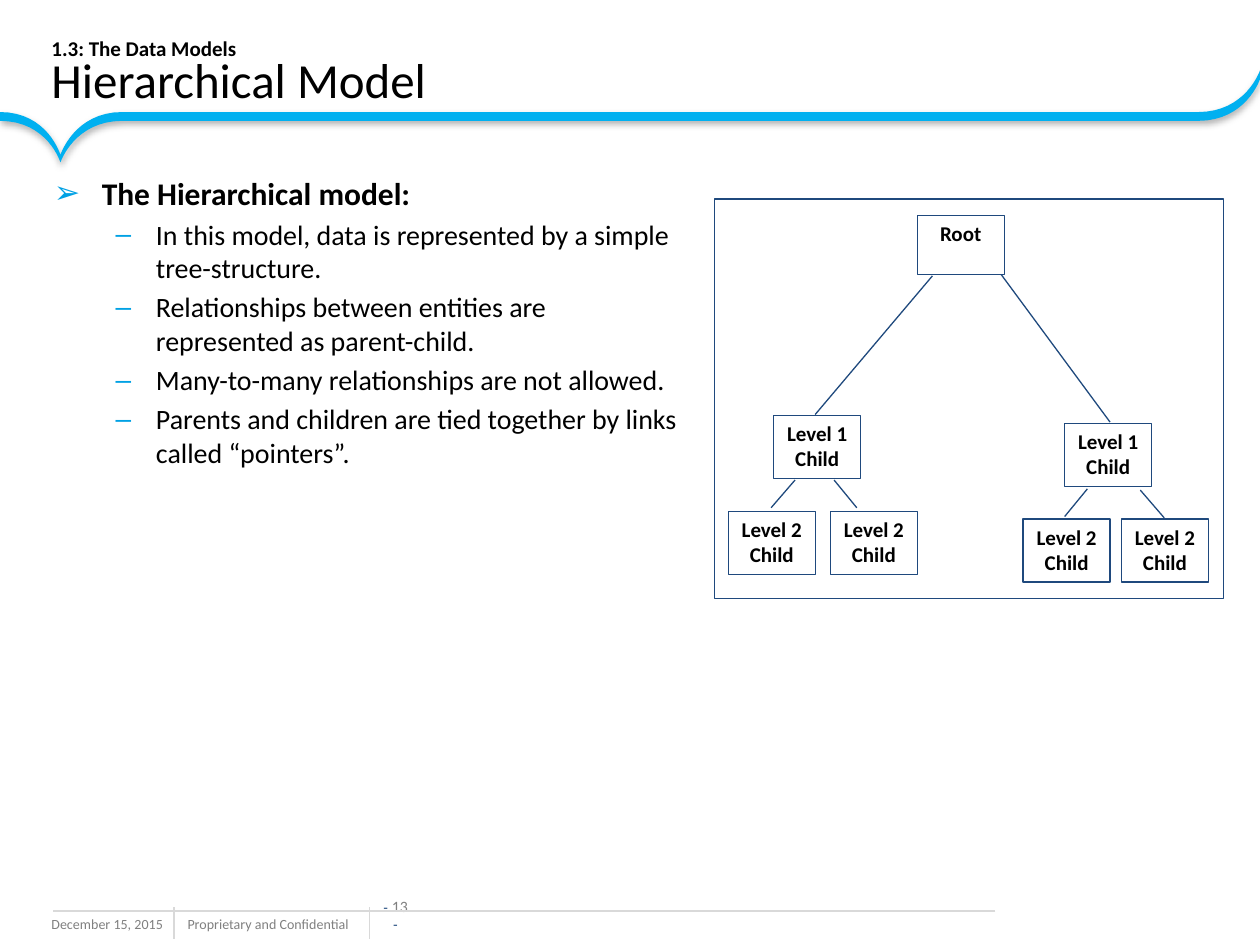
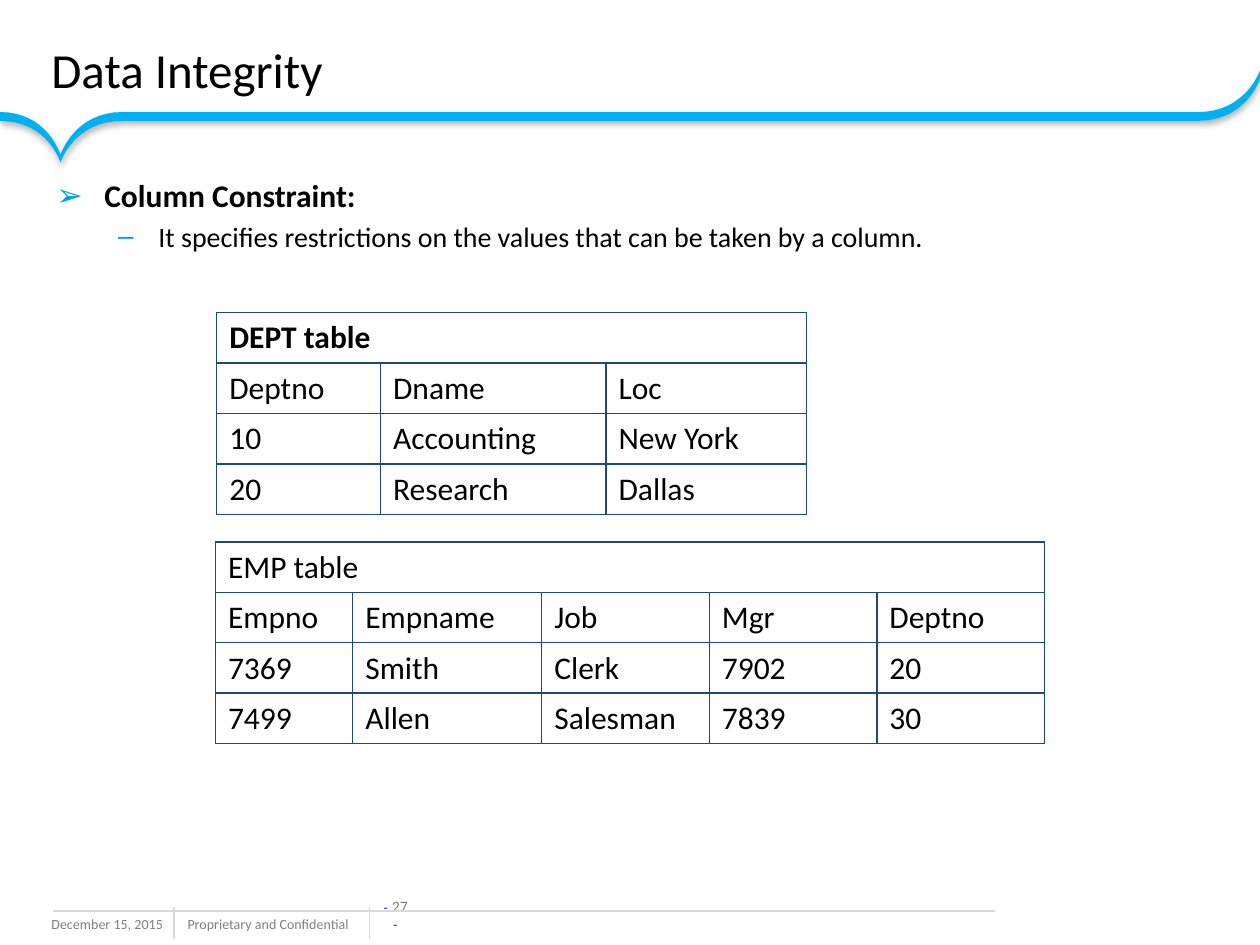
from typing import NamedTuple

from lxml import etree
from pptx import Presentation
from pptx.dml.color import RGBColor
from pptx.enum import shapes, text
from pptx.oxml.ns import qn
from pptx.util import Inches, Pt

BLACK, WHITE, GREY, RULE = "000000", "FFFFFF", "808080", "D9D9D9"
NAVY, SKY, MARK = "1F497D", "00B0F0", "00A1E4"
FONT = "Calibri"
MID = text.PP_ALIGN.CENTER


class Box(NamedTuple):
    left: float
    top: float
    width: float
    height: float


class Line(NamedTuple):
    x1: float
    y1: float
    x2: float
    y2: float


class Node(NamedTuple):
    left: float
    top: float
    label: str
    height: float = 0.5


class Level(NamedTuple):
    char: str
    size: float
    bold: bool
    left: float
    hang: float


class Grid(NamedTuple):
    left: float
    top: float
    widths: list[float]
    title: str
    bold: bool
    rows: list[list[str]]


HEAD = Level("➢", 18, True, 0.38, 0.38)
ITEM = Level("–", 16, False, 0.81, 0.32)

FOOT_LINES = [
    Line(1.38, 7.2, 1.38, 7.45),
    Line(2.93, 7.2, 2.93, 7.45),
    Line(7.9, 7.23, 0.42, 7.23),
]
BAND_START = (9.51, 0.89)
BAND = [
    [(0.97, 0.89)],
    [(0.59, 0.89), (0.48, 1.23), (0.48, 1.23)],
    [(0.48, 1.23), (0.38, 0.89), (0, 0.89)],
    [(0, 0.96)],
    [(0.38, 0.96), (0.48, 1.29), (0.48, 1.29)],
    [(0.48, 1.29), (0.59, 0.96), (0.97, 0.96)],
    [(9.51, 0.96)],
    [(9.89, 0.96), (10, 0.63), (10, 0.63)],
    [(10, 0.56)],
    [(10, 0.56), (9.89, 0.89), BAND_START],
]

FRAME = Box(5.67, 1.58, 4.04, 3.17)
NODE_WIDTH, DROP = 0.69, 0.76
BRANCHES = [(6.14, 3.3, (5.78, 6.59)), (8.45, 3.36, (8.12, 8.9))]
NODES = [Node(7.28, 1.71, "Root", 0.47)]
for left, top, kids in BRANCHES:
    NODES.append(Node(left, top, "Level 1\nChild"))
    NODES += [Node(kid, top + DROP, "Level 2\nChild") for kid in kids]
LINKS = [
    Line(7.91, 2.13, 8.81, 3.35),
    Line(7.4, 2.19, 6.47, 3.29),
    Line(6.31, 3.81, 6.12, 4.03),
    Line(6.62, 3.81, 6.8, 4.03),
    Line(8.63, 3.88, 8.45, 4.1),
    Line(9.05, 3.89, 9.24, 4.11),
]

DEPT = Grid(1.72, 2.48, [1.3, 1.79, 1.59], "DEPT table", True, [
    ["Deptno", "Dname", "Loc"],
    ["10", "Accounting", "New York"],
    ["20", "Research", "Dallas"],
])
EMP = Grid(1.71, 4.3, [1.09, 1.5, 1.33, 1.33, 1.33], "EMP table", False, [
    ["Empno", "Empname", "Job", "Mgr", "Deptno"],
    ["7369", "Smith", "Clerk", "7902", "20"],
    ["7499", "Allen", "Salesman", "7839", "30"],
])


def tint(code: str) -> RGBColor:
    return RGBColor.from_string(code)


def place(box) -> list[int]:
    return [Inches(part) for part in box]


def style(run, size: float, color: str = BLACK, bold: bool = False, face: str = FONT) -> None:
    run.font.name = face
    run.font.size = Pt(size)
    run.font.bold = bold
    run.font.color.rgb = tint(color)


def add_text(slide, box: Box, words: str = "", size: float = 8, color: str = GREY, wrap: bool = True):
    frame = slide.shapes.add_textbox(*place(box)).text_frame
    frame.word_wrap = wrap
    frame.text = words
    for run in frame.paragraphs[0].runs:
        style(run, size, color)
    return frame


def add_line(group, line: Line, color: str) -> None:
    link = group.add_connector(shapes.MSO_CONNECTOR.STRAIGHT, *place(line))
    link.line.color.rgb = tint(color)
    link.line.width = Pt(0.75)
    etree.SubElement(link._element.spPr, qn("a:effectLst"))


def curve(start, ends, steps: int = 16) -> list[tuple[float, float]]:
    if len(ends) == 1:
        return ends
    points = []
    for step in range(1, steps + 1):
        t = step / steps
        parts = ((1 - t) ** 3, 3 * t * (1 - t) ** 2, 3 * t * t * (1 - t), t ** 3)
        points.append(tuple(
            sum(part * spot[axis] for part, spot in zip(parts, [start, *ends]))
            for axis in (0, 1)))
    return points


def add_band(slide) -> None:
    points = [BAND_START]
    for ends in BAND:
        points += curve(points[-1], ends)
    first, *rest = [place(point) for point in points]
    pen = slide.shapes.build_freeform(*first)
    pen.add_line_segments(rest, close=True)
    band = pen.convert_to_shape()
    band.fill.solid()
    band.fill.fore_color.rgb = tint(SKY)
    band.line.fill.background()
    band.shadow.inherit = False
    glow = etree.SubElement(
        band._element.spPr.find(qn("a:effectLst")), qn("a:outerShdw"),
        blurRad=str(Pt(4)), dist=str(Pt(2)), dir="5400000", algn="t", rotWithShape="0")
    shade = etree.SubElement(glow, qn("a:srgbClr"), val=BLACK)
    etree.SubElement(shade, qn("a:alpha"), val="31000")


def add_page(deck, number: int, title: str, lead: str = ""):
    slide = deck.slides.add_slide(deck.slide_layouts[6])
    add_text(slide, Box(0.31, 7.22, 1.33, 0.25), "December 15, 2015")
    add_text(slide, Box(1.39, 7.22, 1.57, 0.24), "Proprietary and Confidential", wrap=False)
    frame = add_text(slide, Box(3.01, 7.25, 0.26, 0.15))
    frame.margin_left = frame.margin_right = frame.margin_top = frame.margin_bottom = 0
    frame.vertical_anchor = text.MSO_ANCHOR.BOTTOM
    para = frame.paragraphs[0]
    para.alignment = MID
    for words, size, color, face in (
            ("- ", 8, NAVY, "Arial"), (f"{number} ", 9, GREY, FONT), ("-", 8, NAVY, "Arial")):
        run = para.add_run()
        run.text = words
        style(run, size, color, face=face)
    for line in FOOT_LINES:
        add_line(slide.shapes, line, RULE)
    add_band(slide)

    words = f"{lead}\v{title}" if lead else title
    frame = add_text(slide, Box(0.31, 0.2, 8.92, 0.78), words, 28, BLACK)
    frame.vertical_anchor = text.MSO_ANCHOR.MIDDLE
    para = frame.paragraphs[0]
    para.line_spacing = 0.8
    if lead:
        style(para.runs[0], 12, bold=True)
        etree.SubElement(para._p.find(qn("a:br")), qn("a:rPr"), sz="1200")
    return slide


def add_list(slide, box: Box, head: str, items: list[str]) -> None:
    frame = add_text(slide, box, "\n".join([head, *items]))
    for spot, para in enumerate(frame.paragraphs):
        level = ITEM if spot else HEAD
        para.level = 1 if spot else 0
        para.space_before = Pt(level.size * 0.2)
        style(para.runs[0], level.size, bold=level.bold)
        props = para._p.get_or_add_pPr()
        props.set("marL", str(Inches(level.left)))
        props.set("indent", str(-Inches(level.hang)))
        paint = etree.SubElement(props, qn("a:buClr"))
        etree.SubElement(paint, qn("a:srgbClr"), val=MARK)
        etree.SubElement(props, qn("a:buFont"), typeface="Arial")
        etree.SubElement(props, qn("a:buChar"), char=level.char)


def add_rect(group, box: Box):
    rect = group.add_shape(shapes.MSO_SHAPE.RECTANGLE, *place(box))
    rect.shadow.inherit = False
    rect.fill.background()
    rect.line.color.rgb = tint(NAVY)
    rect.line.width = Pt(0.75)
    return rect


def add_node(group, node: Node) -> None:
    rect = add_rect(group, Box(node.left, node.top, NODE_WIDTH, node.height))
    rect.fill.solid()
    rect.fill.fore_color.rgb = tint(WHITE)
    frame = rect.text_frame
    frame.margin_left = frame.margin_right = Inches(0.09)
    frame.margin_top = frame.margin_bottom = Inches(0.04)
    frame.vertical_anchor = text.MSO_ANCHOR.TOP
    frame.text = node.label
    for para in frame.paragraphs:
        para.alignment = MID
        style(para.runs[0], 12, bold=True)


def add_tree(slide) -> None:
    group = slide.shapes.add_group_shape().shapes
    add_rect(group, FRAME)
    for link in LINKS:
        add_line(group, link, NAVY)
    for node in NODES:
        add_node(group, node)


def edge(cell) -> None:
    cell.fill.background()
    props = cell._tc.get_or_add_tcPr()
    for spot, side in enumerate("LRTB"):
        line = etree.Element(qn(f"a:ln{side}"), w=str(Pt(1)))
        paint = etree.SubElement(line, qn("a:solidFill"))
        etree.SubElement(paint, qn("a:srgbClr"), val=NAVY)
        props.insert(spot, line)


def add_grid(slide, grid: Grid) -> None:
    count, wide, tall = len(grid.rows) + 1, len(grid.widths), 0.4
    box = Box(grid.left, grid.top, sum(grid.widths), tall * count)
    table = slide.shapes.add_table(count, wide, *place(box)).table
    table.first_row = table.horz_banding = False
    for column, width in zip(table.columns, grid.widths):
        column.width = Inches(width)
    table.cell(0, 0).merge(table.cell(0, wide - 1))
    for y, row in enumerate([[grid.title] + [""] * (wide - 1), *grid.rows]):
        for x, words in enumerate(row):
            cell = table.cell(y, x)
            edge(cell)
            if words:
                cell.text = words
                para = cell.text_frame.paragraphs[0]
                para.space_before = Pt(3.6)
                style(para.runs[0], 18, bold=grid.bold and y == 0)


def main() -> None:
    deck = Presentation()
    deck.slide_width, deck.slide_height = Inches(10), Inches(7.5)

    slide = add_page(deck, 13, "Hierarchical Model", "1.3: The Data Models")
    add_list(slide, Box(0.33, 1.33, 5.17, 5.5), "The Hierarchical model:", [
        "In this model, data is represented by a simple tree-structure.",
        "Relationships between entities are represented as parent-child.",
        "Many-to-many relationships are not allowed.",
        "Parents and children are tied together by links called “pointers”.",
    ])
    add_tree(slide)

    slide = add_page(deck, 27, "Data Integrity")
    add_list(slide, Box(0.35, 1.35, 9, 5.5), "Column Constraint:", [
        "It specifies restrictions on the values that can be taken by a column.",
    ])
    for grid in (DEPT, EMP):
        add_grid(slide, grid)

    deck.save("out.pptx")


if __name__ == "__main__":
    main()
